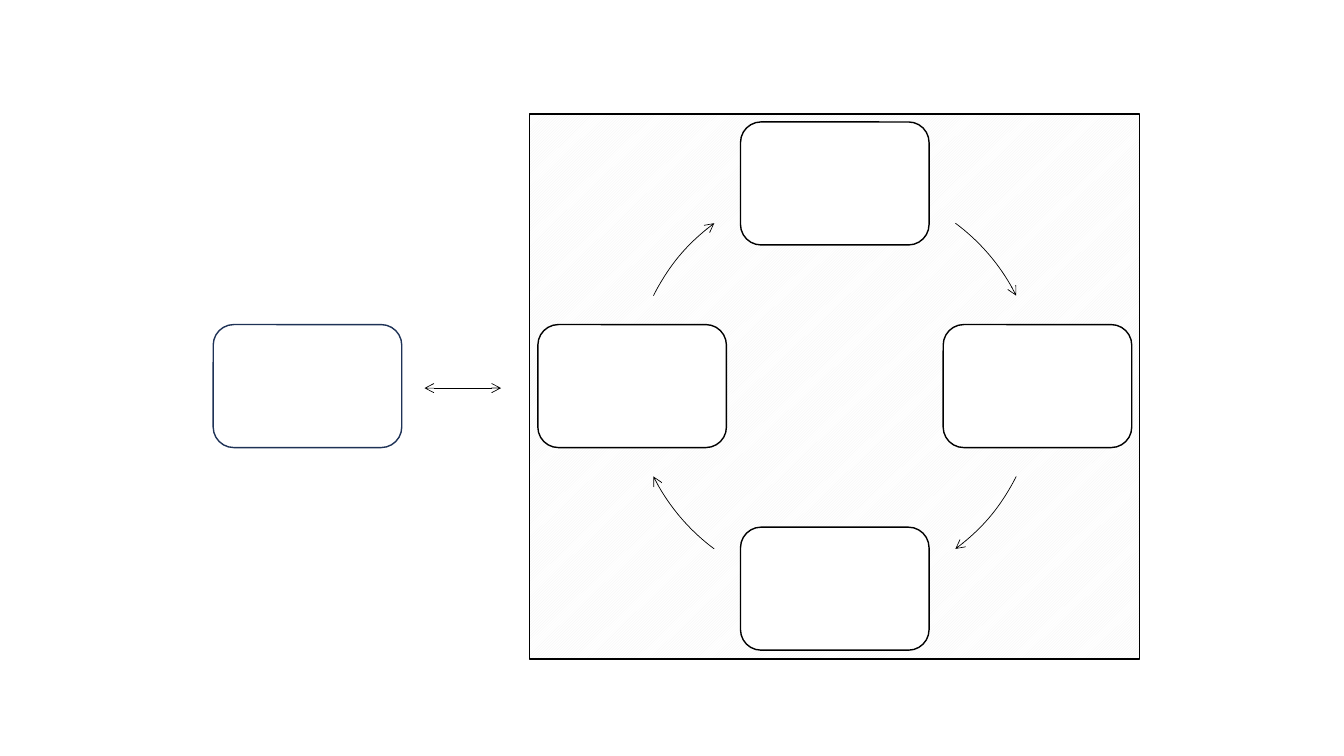
from math import cos, radians, sin

from lxml.etree import SubElement
from pptx import Presentation
from pptx.dml.color import RGBColor
from pptx.enum.dml import MSO_PATTERN
from pptx.enum.shapes import MSO_CONNECTOR, MSO_SHAPE
from pptx.oxml.ns import qn
from pptx.util import Inches, Pt

BLACK, WHITE, NAVY, GREY = "000000", "FFFFFF", "1E3256", "F2F2F2"
PANEL = (5.25, 1.13, 6.05, 5.41)
CYCLE_CENTER = (8.28, 3.83)
CYCLE_RADIUS = 2.01
STEP_ANGLES = (-90, 0, 90, 180)
ARROW_ANGLES = (320, 40, 140, 220)
ARROW_HALF_SWEEP = 13.5
BOX_SIZE = (1.87, 1.22)
OUTSIDE_CENTER = (3.05, 3.83)
EXCHANGE = (4.21, 3.85, 4.97, 3.85)


def color(value):
    """Turn a hex string into a colour."""
    return RGBColor.from_string(value)


def outline(part, value, width, ends=()):
    """Style a line and give it open arrowheads at the named ends."""
    part.line.color.rgb = color(value)
    part.line.width = Pt(width)
    for end in ends:
        SubElement(part.line._ln, qn(f"a:{end}"), type="arrow")


def add_shape(kind, left, top, width, height, fill=None):
    """Add a preset shape without shadow, filled only when a colour is given."""
    part = slide.shapes.add_shape(kind, *map(Inches, (left, top, width, height)))
    part.shadow.inherit = False
    if fill:
        part.fill.solid()
        part.fill.fore_color.rgb = color(fill)
    else:
        part.fill.background()
    return part


def add_box(center, line, fill=None):
    """Add a rounded box around its centre."""
    corner = [middle - size / 2 for middle, size in zip(center, BOX_SIZE)]
    outline(add_shape(MSO_SHAPE.ROUNDED_RECTANGLE, *corner, *BOX_SIZE, fill), line, 1)


prs = Presentation()
prs.slide_width, prs.slide_height = Inches(13.33), Inches(7.5)
slide = prs.slides.add_slide(prs.slide_layouts[6])

panel = add_shape(MSO_SHAPE.RECTANGLE, *PANEL)
panel.fill.patterned()
panel.fill.pattern = MSO_PATTERN.DARK_UPWARD_DIAGONAL
panel.fill.fore_color.rgb = color(GREY)
panel.fill.back_color.rgb = color(WHITE)
outline(panel, BLACK, 1)

cycle_corner = [middle - CYCLE_RADIUS for middle in CYCLE_CENTER]
for step_angle, arrow_angle in zip(STEP_ANGLES, ARROW_ANGLES):
    turn = radians(step_angle)
    add_box((CYCLE_CENTER[0] + CYCLE_RADIUS * cos(turn),
             CYCLE_CENTER[1] + CYCLE_RADIUS * sin(turn)), BLACK, WHITE)
    arrow = add_shape(MSO_SHAPE.ARC, *cycle_corner, 2 * CYCLE_RADIUS, 2 * CYCLE_RADIUS)
    arrow.adjustments[0] = (arrow_angle - ARROW_HALF_SWEEP) * 0.6
    arrow.adjustments[1] = (arrow_angle + ARROW_HALF_SWEEP) * 0.6
    outline(arrow, BLACK, 0.5, ["tailEnd"])

add_box(OUTSIDE_CENTER, NAVY)
exchange = slide.shapes.add_connector(MSO_CONNECTOR.STRAIGHT, *map(Inches, EXCHANGE))
outline(exchange, BLACK, 0.5, ["headEnd", "tailEnd"])
SubElement(exchange._element.spPr, qn("a:effectLst"))

prs.save("out.pptx")
